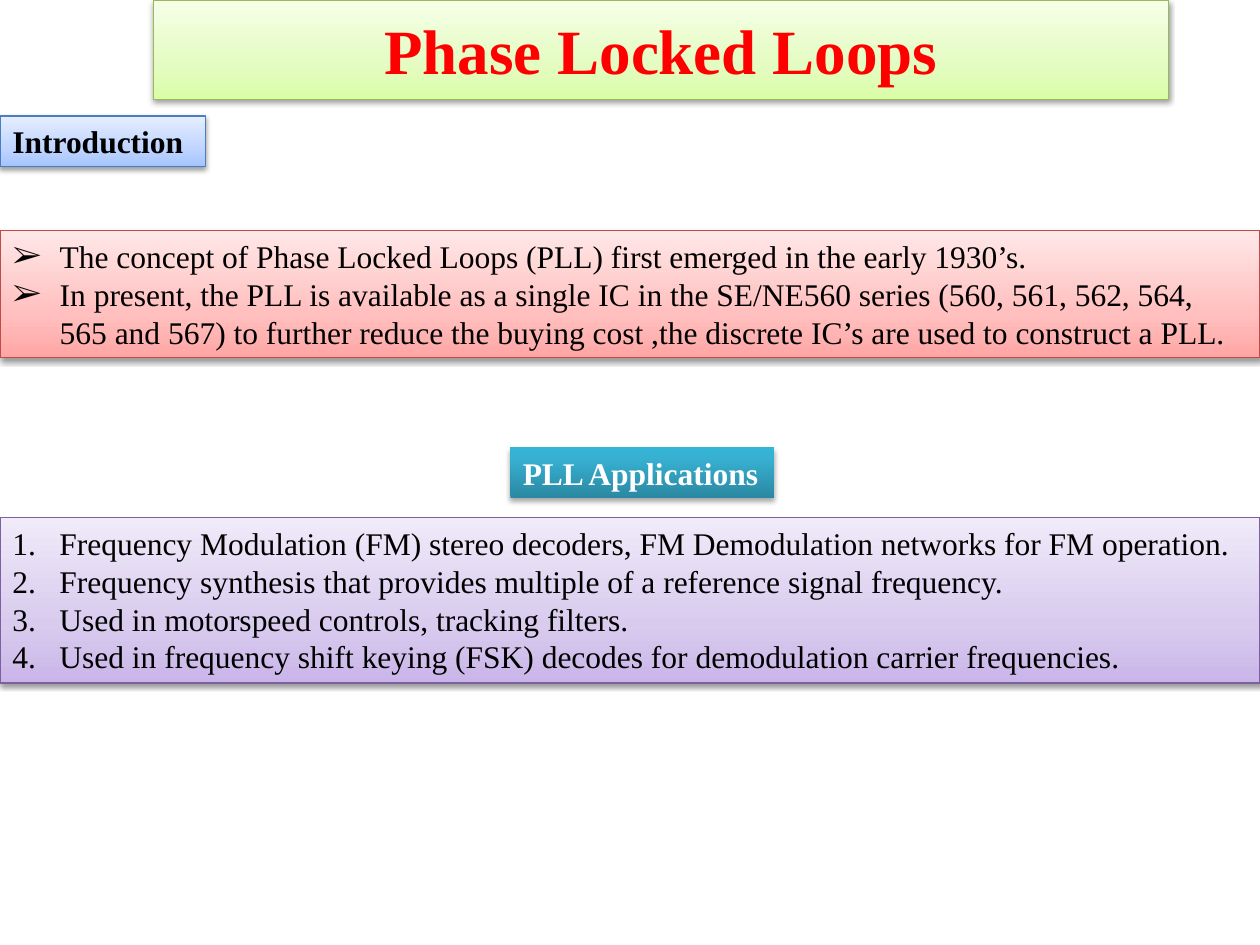
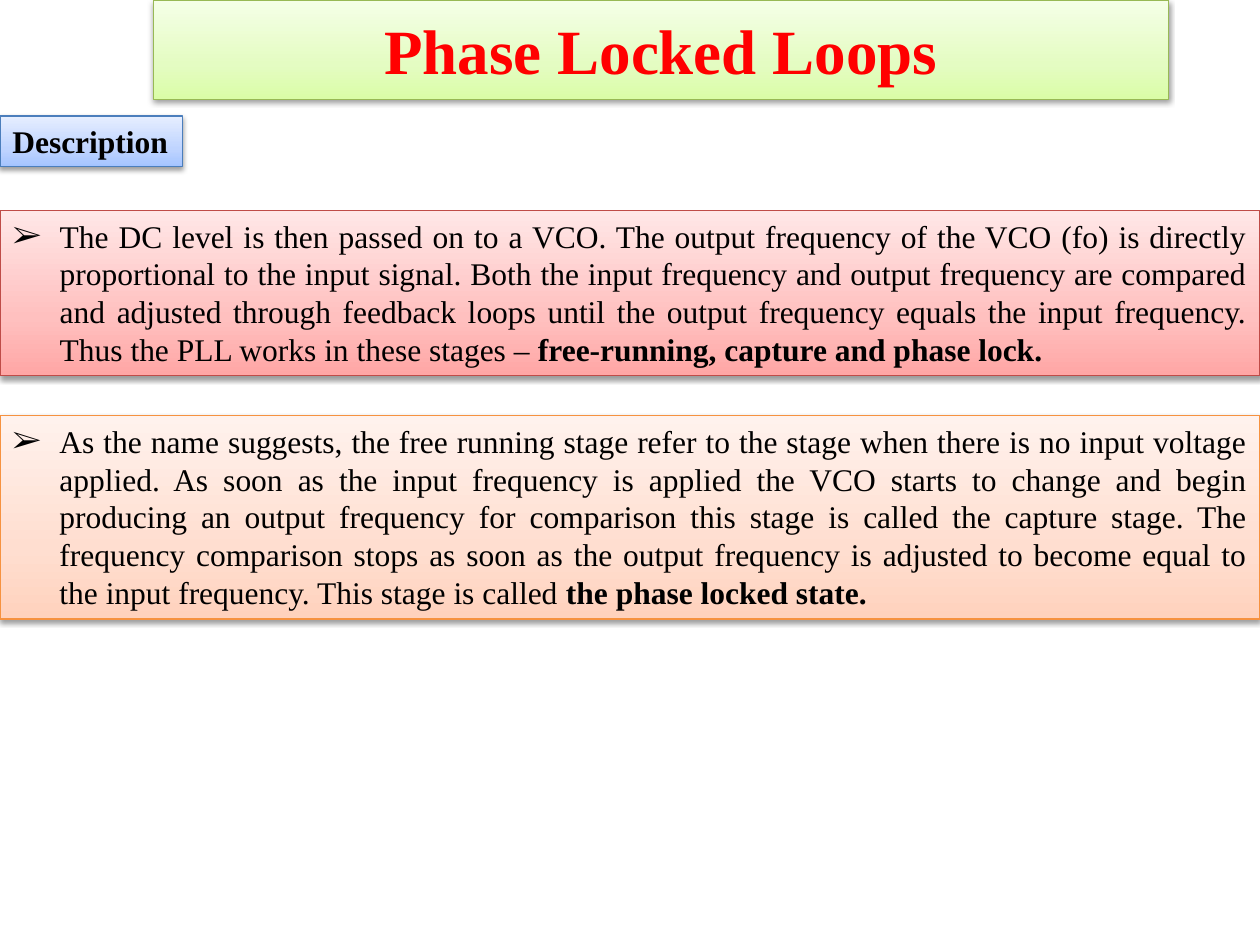
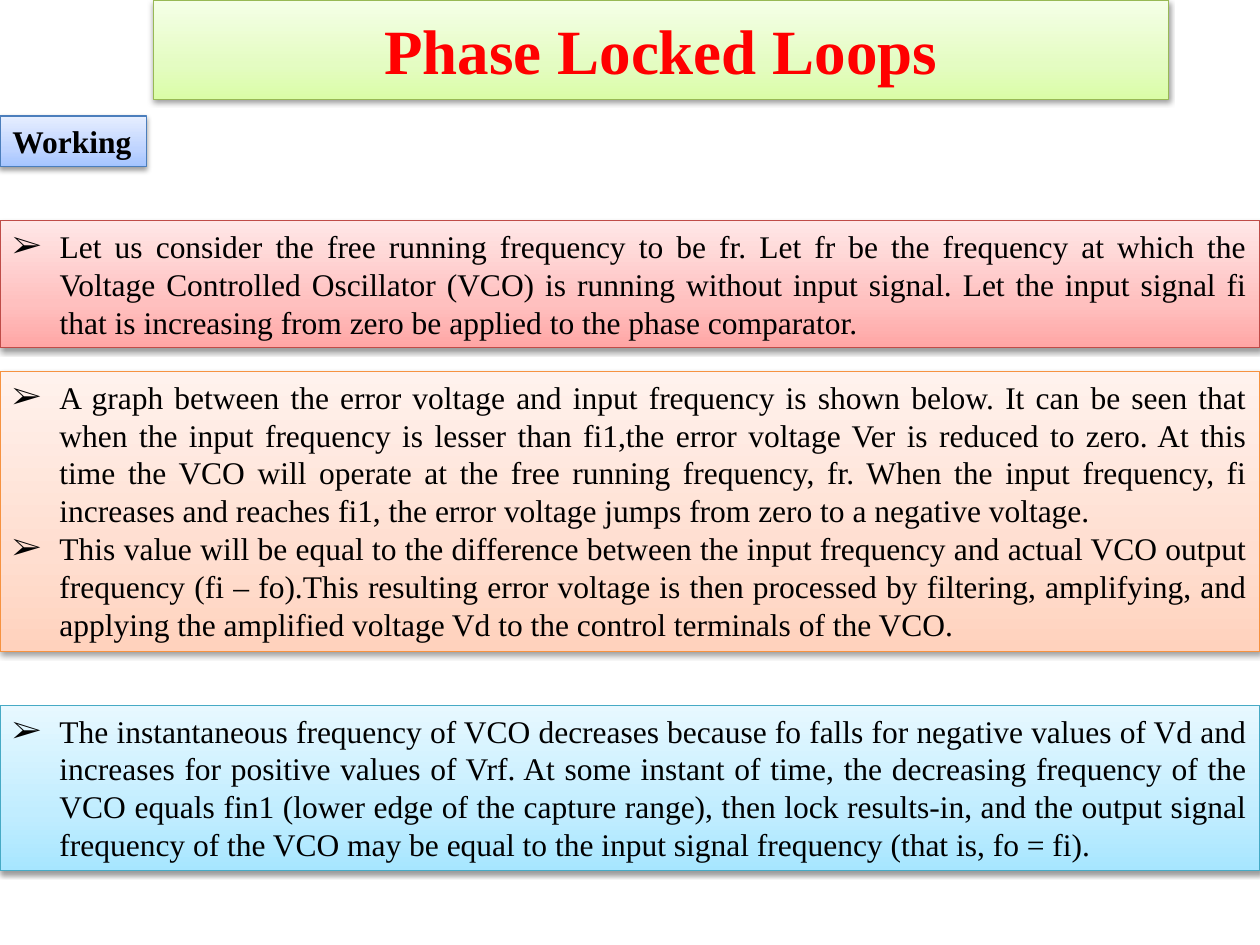
from copy import deepcopy

from lxml.etree import SubElement
from pptx import Presentation
from pptx.dml.color import RGBColor
from pptx.enum.text import MSO_ANCHOR, MSO_AUTO_SIZE, PP_ALIGN
from pptx.oxml.ns import qn
from pptx.util import Cm, Pt

FONT = "Times New Roman"
BLACK = RGBColor(0x00, 0x00, 0x00)
WHITE = RGBColor(0xFF, 0xFF, 0xFF)
RED = RGBColor(0xFF, 0x00, 0x00)

# Each style: gradient colours from bottom to top, and the outline colour
GREEN_STYLE = ([RGBColor(0xDA, 0xFD, 0xA7), RGBColor(0xE4, 0xFC, 0xC2),
                RGBColor(0xF5, 0xFF, 0xE7)], RGBColor(0x98, 0xB9, 0x55))
BLUE_STYLE = ([RGBColor(0xA4, 0xC4, 0xFF), RGBColor(0xBF, 0xD4, 0xFF),
               RGBColor(0xE6, 0xEE, 0xFF)], RGBColor(0x4B, 0x7E, 0xBC))
PINK_STYLE = ([RGBColor(0xFF, 0xA6, 0xA5), RGBColor(0xFF, 0xC0, 0xBF),
               RGBColor(0xFF, 0xE7, 0xE7)], RGBColor(0xBF, 0x4C, 0x48))
ORANGE_STYLE = ([RGBColor(0xFF, 0xD2, 0xBD), RGBColor(0xFF, 0xDE, 0xD0),
                 RGBColor(0xFF, 0xF2, 0xED)], RGBColor(0xF6, 0x92, 0x40))
PURPLE_STYLE = ([RGBColor(0xC9, 0xB5, 0xE8), RGBColor(0xD8, 0xCB, 0xEE),
                 RGBColor(0xF0, 0xEA, 0xF9)], RGBColor(0x7D, 0x60, 0xA0))
AQUA_STYLE = ([RGBColor(0xA7, 0xE6, 0xFF), RGBColor(0xC1, 0xED, 0xFF),
               RGBColor(0xE7, 0xF8, 0xFF)], RGBColor(0x46, 0xAA, 0xC5))
TEAL_STYLE = ([RGBColor(0x2A, 0x88, 0xA2), RGBColor(0x37, 0xB1, 0xD2),
               RGBColor(0x34, 0xB4, 0xD6)], None)

# Content: lengths in cm; a list item is (plain text, bold ending)
TITLE = "Phase Locked Loops"
SLIDES = [
    {
        "tags": [("Introduction", 0, 2.34, 4.14, BLUE_STYLE, BLACK),
                 ("PLL Applications", 10.29, 9.02, 5.31, TEAL_STYLE, WHITE)],
        "align": PP_ALIGN.LEFT,
        "panels": [
            {"top": 4.65, "lines": 3, "style": PINK_STYLE, "items": [
                ("The concept of Phase Locked Loops (PLL) first emerged in the early 1930’s.", ""),
                ("In present, the PLL is available as a single IC in the SE/NE560 series "
                 "(560, 561, 562, 564, 565 and 567) to further reduce the buying cost ,the "
                 "discrete IC’s are used to construct a PLL.", "")]},
            {"top": 10.44, "lines": 4, "style": PURPLE_STYLE, "numbered": True, "items": [
                ("Frequency Modulation (FM) stereo decoders, FM Demodulation networks for "
                 "FM operation.", ""),
                ("Frequency synthesis that provides multiple of a reference signal frequency.", ""),
                ("Used in motorspeed controls, tracking filters.", ""),
                ("Used in frequency shift keying (FSK) decodes for demodulation carrier "
                 "frequencies.", "")]},
        ],
    },
    {
        "tags": [("Description", 0, 2.34, 3.68, BLUE_STYLE, BLACK)],
        "align": PP_ALIGN.JUSTIFY,
        "panels": [
            {"top": 4.24, "lines": 4, "style": PINK_STYLE, "items": [
                ("The DC level is then passed on to a VCO. The output frequency of the VCO (fo) "
                 "is directly proportional to the input signal. Both the input frequency and "
                 "output frequency are compared and adjusted through feedback loops until the "
                 "output frequency equals the input frequency. Thus the PLL works in these "
                 "stages – ", "free-running, capture and phase lock.")]},
            {"top": 8.38, "lines": 5, "style": ORANGE_STYLE, "items": [
                ("As the name suggests, the free running stage refer to the stage when there is "
                 "no input voltage applied. As soon as the input frequency is applied the VCO "
                 "starts to change and begin producing an output frequency for comparison this "
                 "stage is called the capture stage. The frequency comparison stops as soon as "
                 "the output frequency is adjusted to become equal to the input frequency. This "
                 "stage is called ", "the phase locked state.")]},
        ],
    },
    {
        "tags": [("Working", 0, 2.34, 2.95, BLUE_STYLE, BLACK)],
        "align": PP_ALIGN.JUSTIFY,
        "panels": [
            {"top": 4.45, "lines": 3, "style": PINK_STYLE, "items": [
                ("Let us consider the free running frequency to be fr. Let fr be the frequency "
                 "at which the Voltage Controlled Oscillator (VCO) is running without input "
                 "signal. Let the input signal fi that is increasing from zero be applied to the "
                 "phase comparator.", "")]},
            {"top": 7.49, "lines": 7, "style": ORANGE_STYLE, "items": [
                ("A graph between the error voltage and input frequency is shown below. It can "
                 "be seen that when the input frequency is lesser than fi1,the error voltage Ver "
                 "is reduced to zero. At this time the VCO will operate at the free running "
                 "frequency, fr. When the input frequency, fi increases and reaches fi1, the "
                 "error voltage jumps from zero to a negative voltage.", ""),
                ("This value will be equal to the difference between the input frequency and "
                 "actual VCO output frequency (fi – fo).This resulting error voltage is then "
                 "processed by filtering, amplifying, and applying the amplified voltage Vd to "
                 "the control terminals of the VCO.", "")]},
            {"top": 14.22, "lines": 4, "style": AQUA_STYLE, "items": [
                ("The instantaneous frequency of VCO decreases because fo falls for negative "
                 "values of Vd and increases for positive values of Vrf. At some instant of "
                 "time, the decreasing frequency of the VCO equals fin1 (lower edge of the "
                 "capture range), then lock results-in, and the output signal frequency of the "
                 "VCO may be equal to the input signal frequency (that is, fo = fi).", "")]},
        ],
    },
]

SLIDE_WIDTH, SLIDE_HEIGHT = 25.4, 19.05
TAG_HEIGHT = 1.02
LINE_HEIGHT, PANEL_PADDING = 0.77, 0.25
LIST_INDENT = Cm(0.95)


def place(box, left, top, width, height):
    box.left, box.top, box.width, box.height = Cm(left), Cm(top), Cm(width), Cm(height)


def decorate(box, style):
    """Give a box its vertical gradient, outline and soft shadow."""
    colours, outline = style
    middle = 0.35 if outline else 0.8
    box.fill.gradient()
    box.fill.gradient_angle = 90
    stop_list = box.element.spPr.find(qn("a:gradFill")).find(qn("a:gsLst"))
    stop_list.append(deepcopy(stop_list[0]))
    for stop, colour, position in zip(box.fill.gradient_stops, colours, (0, middle, 1)):
        stop.color.rgb = colour
        stop.position = position

    if outline:
        box.line.color.rgb = outline
        box.line.width = Pt(0.75)
    else:
        box.line.fill.background()

    box.shadow.inherit = False
    effects = box.element.spPr.find(qn("a:effectLst"))
    shadow = SubElement(effects, qn("a:outerShdw"), blurRad=str(Pt(3.1)),
                        dist=str(Pt(1.6 if outline else 1.8)), dir="5400000", rotWithShape="0")
    black = SubElement(shadow, qn("a:srgbClr"), val=str(BLACK))
    SubElement(black, qn("a:alpha"), val="38000" if outline else "35000")


def style_span(span, size, colour, bold):
    span.font.name = FONT
    span.font.size = Pt(size)
    span.font.color.rgb = colour
    span.font.bold = bold


def add_marker(para, numbered):
    properties = para._p.get_or_add_pPr()
    properties.set("marL", str(LIST_INDENT))
    properties.set("indent", str(-LIST_INDENT))
    if numbered:
        SubElement(properties, qn("a:buFont"), typeface="+mj-lt")
        SubElement(properties, qn("a:buAutoNum"), type="arabicPeriod")
    else:
        SubElement(properties, qn("a:buFont"), typeface=FONT)
        SubElement(properties, qn("a:buChar"), char="➢")


def fill_title(box):
    place(box, 3.1, 0, 20.45, 2)
    decorate(box, GREEN_STYLE)
    frame = box.text_frame
    frame.text = TITLE
    frame.auto_size = MSO_AUTO_SIZE.NONE
    frame.vertical_anchor = MSO_ANCHOR.MIDDLE
    frame.paragraphs[0].alignment = PP_ALIGN.CENTER
    style_span(frame.paragraphs[0].runs[0], 36, RED, True)


def add_tag(page, text, left, top, width, style, colour):
    box = page.shapes.add_textbox(Cm(left), Cm(top), Cm(width), Cm(TAG_HEIGHT))
    decorate(box, style)
    box.text_frame.text = text
    box.text_frame.word_wrap = False
    style_span(box.text_frame.paragraphs[0].runs[0], 18, colour, True)


def fill_panel(box, panel, align):
    height = PANEL_PADDING + LINE_HEIGHT * panel["lines"]
    place(box, 0, panel["top"], SLIDE_WIDTH, height)
    decorate(box, panel["style"])
    frame = box.text_frame
    frame.word_wrap = True
    frame.auto_size = MSO_AUTO_SIZE.NONE
    for index, (plain, strong) in enumerate(panel["items"]):
        para = frame.add_paragraph() if index else frame.paragraphs[0]
        para.alignment = align
        para.space_before = Pt(0)
        add_marker(para, panel.get("numbered", False))
        for text, bold in ((plain, False), (strong, True)):
            if text:
                span = para.add_run()
                span.text = text
                style_span(span, 18, BLACK, bold)


def main():
    deck = Presentation()
    deck.slide_width, deck.slide_height = Cm(SLIDE_WIDTH), Cm(SLIDE_HEIGHT)
    for content in SLIDES:
        page = deck.slides.add_slide(deck.slide_layouts.get_by_name("Title and Content"))
        fill_title(page.shapes.title)
        for tag in content["tags"]:
            add_tag(page, *tag)
        # The first panel is the body placeholder, the others are text boxes
        for index, panel in enumerate(content["panels"]):
            box = page.shapes.add_textbox(0, 0, 0, 0) if index else page.placeholders[1]
            fill_panel(box, panel, content["align"])
    deck.save("out.pptx")


if __name__ == "__main__":
    main()
